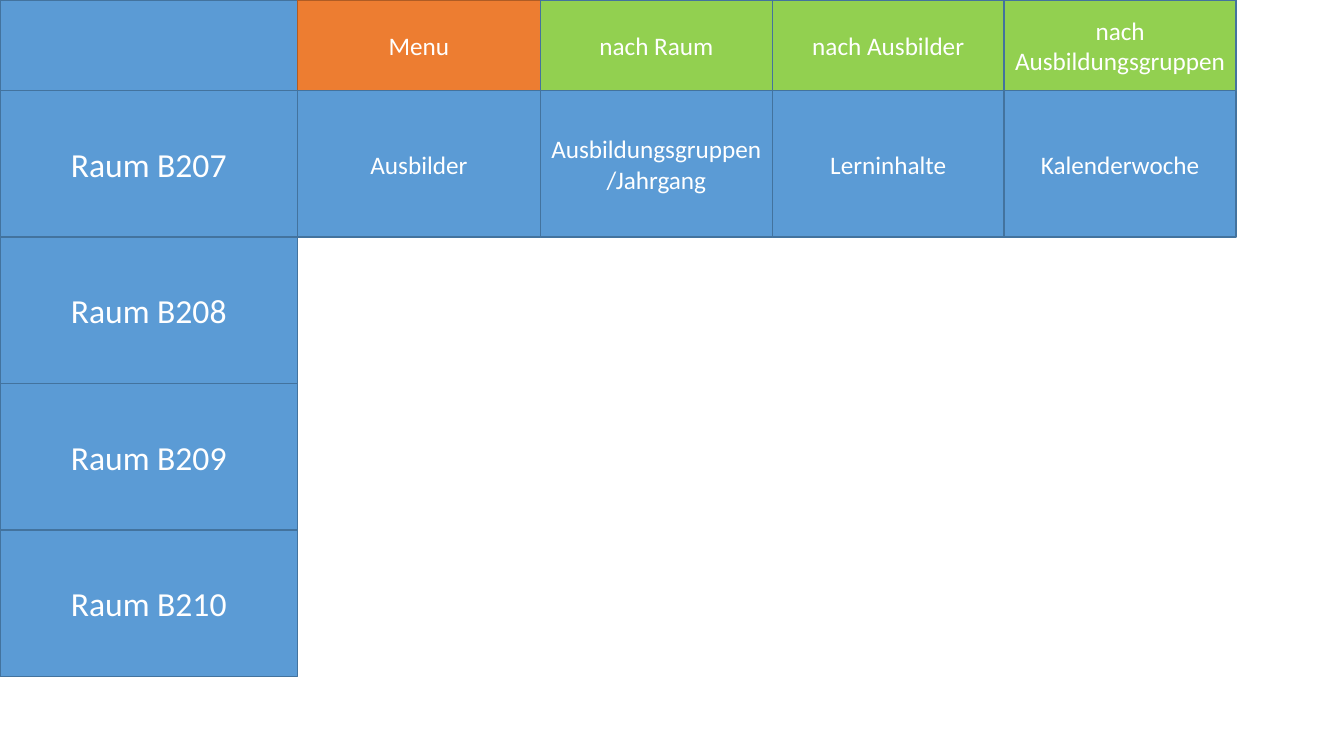
import pptx
import pptx.util
import pptx.dml.color
import pptx.enum.shapes
import pptx.enum.text

Inches = pptx.util.Inches
BLUE, ORANGE, GREEN = "5B9BD5", "ED7D31", "92D050"
NAVY, RUST, WHITE = "43739E", "AF5C24", "FFFFFF"
SIDE, HEAD, ROW = 2.95, 0.9, 1.453
WIDTHS = [2.41, 2.3, 2.3, 2.3]


def color(code):
    """Turn a hex string into a colour."""
    return pptx.dml.color.RGBColor.from_string(code)


def add_cell(slide, box, text, size, fill=BLUE, edge=NAVY):
    """Draw one outlined box with centred text."""
    kind = pptx.enum.shapes.MSO_SHAPE.RECTANGLE
    cell = slide.shapes.add_shape(kind, *map(Inches, box))
    cell.shadow.inherit = False
    cell.fill.solid()
    cell.fill.fore_color.rgb = color(fill)
    cell.line.color.rgb = color(edge)
    cell.line.width = pptx.util.Pt(1)
    frame = cell.text_frame
    frame.word_wrap = True
    frame.vertical_anchor = pptx.enum.text.MSO_ANCHOR.MIDDLE
    frame.text = text
    for line in frame.paragraphs:
        line.alignment = pptx.enum.text.PP_ALIGN.CENTER
        for run in line.runs:
            run.font.name = "Calibri"
            run.font.size = pptx.util.Pt(size)
            run.font.color.rgb = color(WHITE)


def add_rooms(slide, box, rooms):
    """Stack the room boxes below an empty corner."""
    left, top, width, height = box
    add_cell(slide, (left, top, width, HEAD), "", 24)
    step = (height - HEAD) / len(rooms)
    for i, room in enumerate(rooms):
        add_cell(slide, (left, top + HEAD + i * step, width, step), room, 24)


def add_row(slide, box, cells):
    """Lay cells of text and colours side by side."""
    left, top, width, height = box
    scale = width / sum(WIDTHS)
    for part, (text, fill, edge) in zip(WIDTHS, cells):
        add_cell(slide, (left, top, part * scale, height), text, 18, fill, edge)
        left += part * scale


def main():
    """Build and save the room plan."""
    deck = pptx.Presentation()
    deck.slide_width, deck.slide_height = Inches(13.33), Inches(7.5)
    slide = deck.slides.add_slide(deck.slide_layouts[6])
    rooms = [f"Raum B{num}" for num in range(207, 211)]
    views = ["nach Raum", "nach Ausbilder", "nach Ausbildungsgruppen"]
    menu = [("Menu", ORANGE, RUST)] + [(view, GREEN, NAVY) for view in views]
    facts = ["Ausbilder", "Ausbildungsgruppen\n/Jahrgang", "Lerninhalte", "Kalenderwoche"]
    plan = [(fact, BLUE, NAVY) for fact in facts]
    add_rooms(slide, (0, 0, SIDE, HEAD + ROW * len(rooms)), rooms)
    add_row(slide, (SIDE, 0, sum(WIDTHS), HEAD), menu)
    add_row(slide, (SIDE, HEAD, sum(WIDTHS), ROW), plan)
    deck.save("out.pptx")


main()
